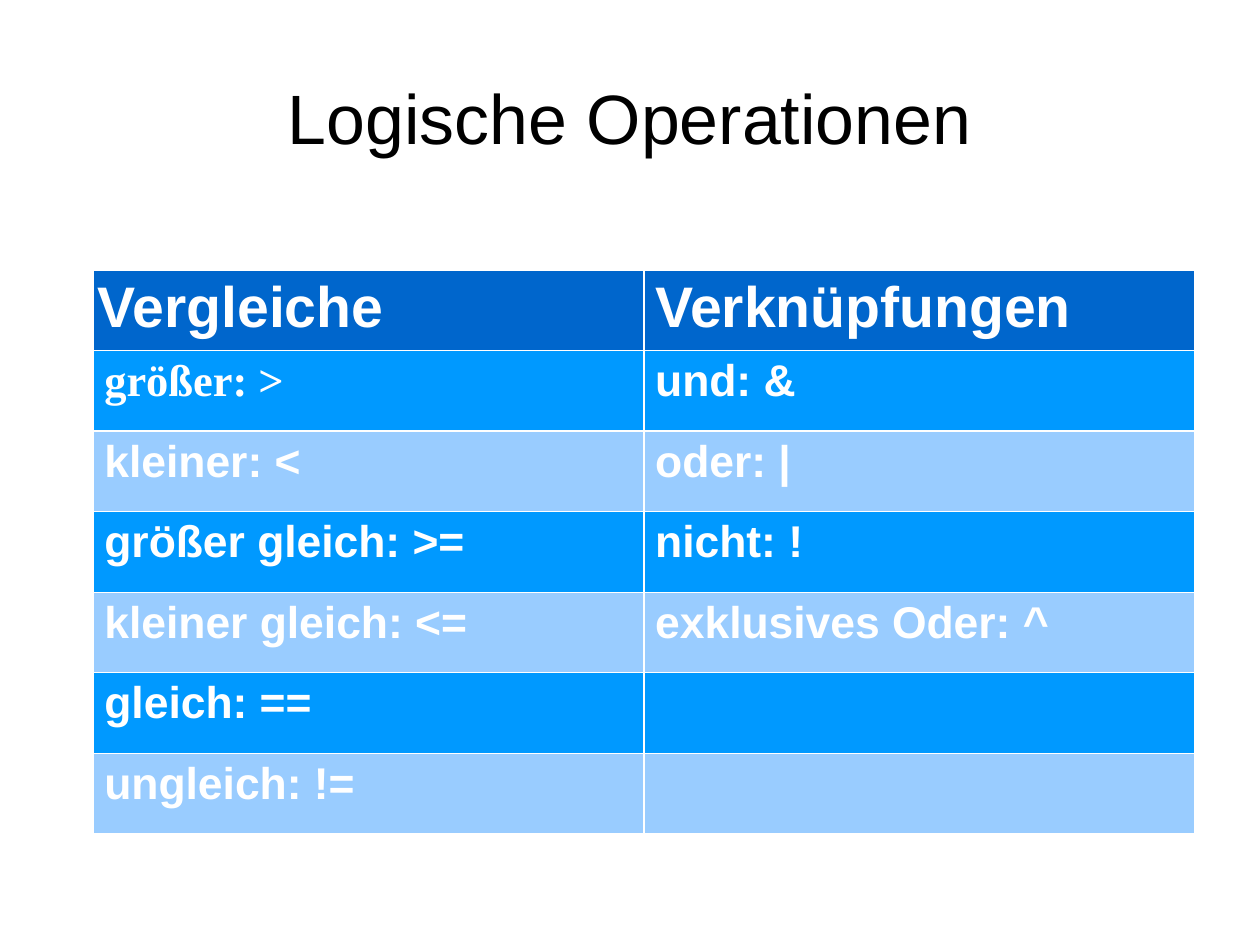
from pptx import Presentation
from pptx.dml.color import RGBColor
from pptx.enum.text import MSO_ANCHOR, PP_ALIGN
from pptx.util import Cm, Pt

TITLE = "Logische Operationen"
ROWS = [
    ("Vergleiche", "Verknüpfungen"),
    ("größer: >", "und: &"),
    ("kleiner: <", "oder: |"),
    ("größer gleich: >=", "nicht: !"),
    ("kleiner gleich: <=", "exklusives Oder: ^"),
    ("gleich: ==", ""),
    ("ungleich: !=", ""),
]
SERIF_TEXT = "größer: >"

BLACK = RGBColor(0x00, 0x00, 0x00)
WHITE = RGBColor(0xFF, 0xFF, 0xFF)
HEADER_BLUE = RGBColor(0x00, 0x66, 0xCC)
BAND_BLUES = (RGBColor(0x99, 0xCC, 0xFF), RGBColor(0x00, 0x99, 0xFF))

COLUMN_WIDTH = Cm(12.24)
ROW_HEIGHT = Cm(1.79)


def format_text(para, size, color, name="Arial", bold=False):
    font = para.font
    font.size, font.name, font.bold = Pt(size), name, bold
    font.color.rgb = color


def add_title(page):
    title = page.shapes.title
    title.left, title.top = Cm(1.4), Cm(0.84)
    title.width, title.height = Cm(25.2), Cm(3.5)
    frame = title.text_frame
    frame.margin_left = frame.margin_right = 0
    frame.margin_top = frame.margin_bottom = 0
    frame.vertical_anchor = MSO_ANCHOR.MIDDLE
    frame.text = TITLE
    para = frame.paragraphs[0]
    para.alignment = PP_ALIGN.CENTER
    format_text(para, 44, BLACK)


def add_operator_table(page):
    row_count, column_count = len(ROWS), len(ROWS[0])
    table = page.shapes.add_table(
        row_count, column_count, Cm(2.07), Cm(6),
        COLUMN_WIDTH * column_count, ROW_HEIGHT * row_count).table
    for column in table.columns:
        column.width = COLUMN_WIDTH
    for row_index, texts in enumerate(ROWS):
        is_header = row_index == 0
        table.rows[row_index].height = ROW_HEIGHT
        for column_index, text in enumerate(texts):
            cell = table.cell(row_index, column_index)
            cell.fill.solid()
            cell.fill.fore_color.rgb = (
                HEADER_BLUE if is_header else BAND_BLUES[row_index % 2])
            narrow = is_header and column_index == 0
            cell.margin_left = cell.margin_right = Cm(0.1 if narrow else 0.25)
            cell.margin_top = cell.margin_bottom = Cm(0.13)
            cell.text = text
            format_text(
                cell.text_frame.paragraphs[0], 36 if is_header else 28, WHITE,
                "Times New Roman" if text == SERIF_TEXT else "Arial", bold=True)


def main():
    deck = Presentation()
    deck.slide_width, deck.slide_height = Cm(28), Cm(21)
    page = deck.slides.add_slide(deck.slide_layouts[5])
    add_title(page)
    add_operator_table(page)
    deck.save("out.pptx")


if __name__ == "__main__":
    main()
